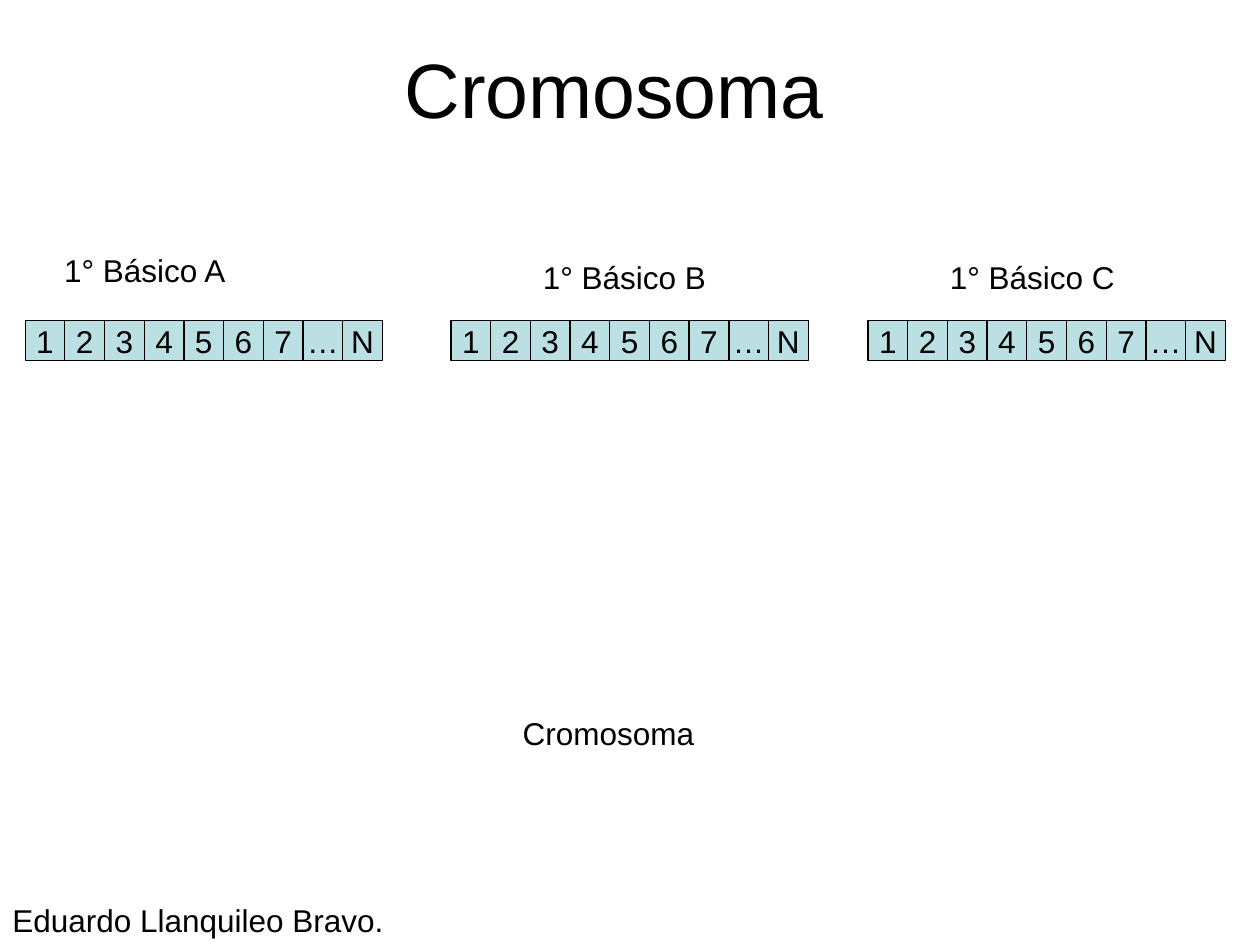
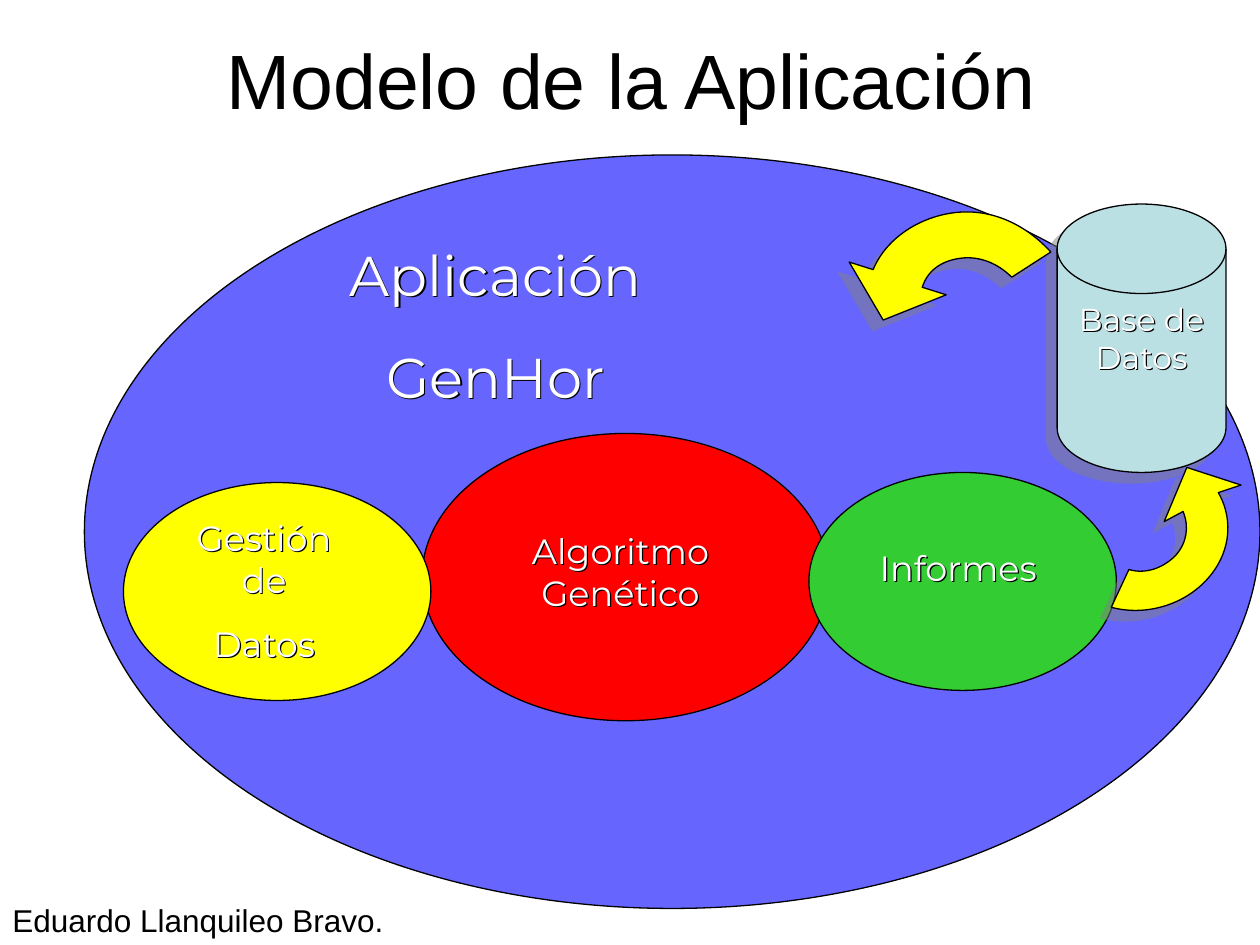
"""Build two slides about timetable chromosomes and the model of the application."""
from dataclasses import dataclass

from lxml import etree
from pptx import Presentation
from pptx.dml.color import RGBColor
from pptx.enum.shapes import MSO_SHAPE
from pptx.enum.text import MSO_ANCHOR, MSO_AUTO_SIZE, PP_ALIGN
from pptx.oxml.ns import qn
from pptx.util import Emu, Pt

RECT, OVAL, DRUM = MSO_SHAPE.RECTANGLE, MSO_SHAPE.OVAL, MSO_SHAPE.FLOWCHART_MAGNETIC_DISK
LEFT, MID = PP_ALIGN.LEFT, PP_ALIGN.CENTER
TOP, HALF = MSO_ANCHOR.TOP, MSO_ANCHOR.MIDDLE
GROW, FIXED = MSO_AUTO_SIZE.SHAPE_TO_FIT_TEXT, MSO_AUTO_SIZE.NONE

PX = 9144
SANS, ROUND = "Arial", "Montserrat"
HUES = {"ink": "000000", "paper": "FFFFFF", "pale": "BBE0E3", "blue": "6666FF",
        "red": "FF0000", "green": "33CC33", "gold": "FFFF00", "shade": "808080"}
GENES = "1234567…N"
CELL = 63 / 2
BASE = 286
Box = tuple[float, float, float, float]
Point = tuple[int, int]


@dataclass(frozen=True)
class Style:
    size: int = 18
    font: str = SANS
    hue: str = "ink"
    align: PP_ALIGN = LEFT
    gap: float = 0


@dataclass(frozen=True)
class Row:
    left: int
    name: str
    spot: Box


@dataclass(frozen=True)
class Part:
    kind: MSO_SHAPE
    box: Box
    hue: str
    lines: tuple[str, ...]
    spot: Box
    size: int
    gap: float = 0
    shade: bool = False


@dataclass(frozen=True)
class Arrow:
    start: Point
    steps: tuple[tuple[Point, ...], ...]


PLAIN = Style()
HEAD = Style(size=44)
GENE = Style(align=MID)

ROWS = (
    Row(20, "1° Básico A", (41, 194, 152, 40)),
    Row(358, "1° Básico B", (421, 200, 152, 40)),
    Row(689, "1° Básico C", (744, 200, 152, 40)),
)
PARTS = (
    Part(OVAL, (67, 123, 933, 598), "blue", ("Aplicación", "GenHor"),
         (169, 186, 449, 145), 32, 20),
    Part(OVAL, (335, 344, 323, 228), "red", ("Algoritmo Genético",),
         (390, 415, 205, 77), 20),
    Part(OVAL, (642, 375, 244, 173), "green", ("Informes",),
         (683, 429, 155, 44), 20),
    Part(OVAL, (98, 383, 244, 173), "gold", ("Gestión de", "Datos"),
         (132, 405, 155, 128), 20, 12.5),
    Part(DRUM, (839, 162, 134, 213), "pale", ("Base de Datos",),
         (839, 233, 134, 70), 18, shade=True),
)
ARROWS = (
    Arrow((732, 228), (
        ((736, 215), (747, 207), (762, 205)), ((776, 203), (791, 208), (803, 220)),
        ((834, 200),), ((812, 176), (784, 165), (756, 169)),
        ((728, 173), (703, 190), (693, 214)),
        ((674, 208),), ((701, 254),), ((751, 234),))),
    Arrow((939, 406), (
        ((944, 418), (942, 431), (933, 441)), ((923, 451), (909, 456), (896, 452)),
        ((882, 482),), ((908, 489), (938, 481), (957, 461)),
        ((976, 441), (980, 414), (967, 391)),
        ((985, 385),), ((942, 371),), ((924, 414),))),
)


def tint(key: str) -> RGBColor:
    return RGBColor.from_string(HUES[key])


def place(box: Box) -> list[Emu]:
    return [Emu(round(n * PX)) for n in box]


def cast(shape, hue: str, dist: float, turn: int, alpha: int) -> None:
    shape.shadow.inherit = False
    host = shape._element.spPr.find(qn("a:effectLst"))
    drop = etree.SubElement(host, qn("a:outerShdw"), dist=str(Pt(dist)),
                            dir=str(turn * 60000), algn="ctr", rotWithShape="0")
    shade = etree.SubElement(drop, qn("a:srgbClr"), val=HUES[hue])
    etree.SubElement(shade, qn("a:alpha"), val=str(alpha * 1000))


def write(frame, lines: tuple[str, ...], style: Style) -> None:
    for num, line in enumerate(lines):
        para = frame.add_paragraph() if num else frame.paragraphs[0]
        para.alignment = style.align
        para.space_before = Pt(style.gap if num else 0)
        run = para.add_run()
        run.text = line
        font = run.font
        font.size, font.name = Pt(style.size), style.font
        font.color.rgb = tint(style.hue)


def label(shapes, box: Box, lines: tuple[str, ...], style: Style):
    shape = shapes.add_textbox(*place(box))
    frame = shape.text_frame
    frame.word_wrap, frame.auto_size = True, GROW
    write(frame, lines, style)
    return shape


def paint(shape, hue: str, shade: bool = False) -> None:
    shape.fill.solid()
    shape.fill.fore_color.rgb = tint(hue)
    shape.line.color.rgb = tint("ink")
    shape.line.width = Pt(0.75)
    shape.shadow.inherit = False
    if shade:
        cast(shape, "shade", 8.5, 135, 50)


def start(deck, title: str, box: Box, style: Style, anchor: MSO_ANCHOR):
    slide = deck.slides.add_slide(deck.slide_layouts[5])
    head = slide.shapes.title
    head.left, head.top, head.width, head.height = place(box)
    frame = head.text_frame
    frame.word_wrap, frame.auto_size = False, FIXED
    frame.vertical_anchor = anchor
    write(frame, (title,), style)
    return slide.shapes


def sign(shapes) -> None:
    label(shapes, (0, 710, 669, 40), ("Eduardo Llanquileo Bravo.",), PLAIN)


def strand(shapes, row: Row) -> None:
    for num, gene in enumerate(GENES):
        cell = shapes.add_shape(RECT, *place((row.left + num * CELL, BASE - CELL, CELL, CELL)))
        paint(cell, "pale")
        frame = cell.text_frame
        frame.word_wrap, frame.vertical_anchor = False, HALF
        write(frame, (gene,), GENE)
    label(shapes, row.spot, (row.name,), PLAIN)


def module(shapes, part: Part) -> None:
    group = shapes.add_group_shape().shapes
    paint(group.add_shape(part.kind, *place(part.box)), part.hue, part.shade)
    style = Style(part.size, ROUND, "paper", MID, part.gap)
    cast(label(group, part.spot, part.lines, style), "ink", 1, 45, 100)


def bend(shapes, arrow: Arrow) -> None:
    pen = shapes.build_freeform(*arrow.start, scale=float(PX))
    pen.add_line_segments([dot for step in arrow.steps for dot in step], close=True)
    shape = pen.convert_to_shape()
    legs = iter(list(shape._element.iter(qn("a:lnTo"))))
    for step in arrow.steps:
        first, *rest = [next(legs) for _ in step]
        if rest:
            first.tag = qn("a:cubicBezTo")
        for leg in rest:
            first.append(leg[0])
            leg.getparent().remove(leg)
    paint(shape, "gold", shade=True)


def genome(deck) -> None:
    shapes = start(deck, "Cromosoma", (311, 28, 354, 84), HEAD, TOP)
    for row in ROWS:
        strand(shapes, row)
    label(shapes, (405, 562, 189, 40), ("Cromosoma",), PLAIN)
    sign(shapes)


def model(deck) -> None:
    shapes = start(deck, "Modelo de la Aplicación", (51, 0, 900, 125),
                   Style(size=44, align=MID), HALF)
    for part in PARTS:
        module(shapes, part)
    for arrow in ARROWS:
        bend(shapes, arrow)
    sign(shapes)


def main() -> None:
    deck = Presentation()
    deck.slide_width, deck.slide_height = Emu(1000 * PX), Emu(750 * PX)
    genome(deck)
    model(deck)
    deck.save("out.pptx")


if __name__ == "__main__":
    main()
